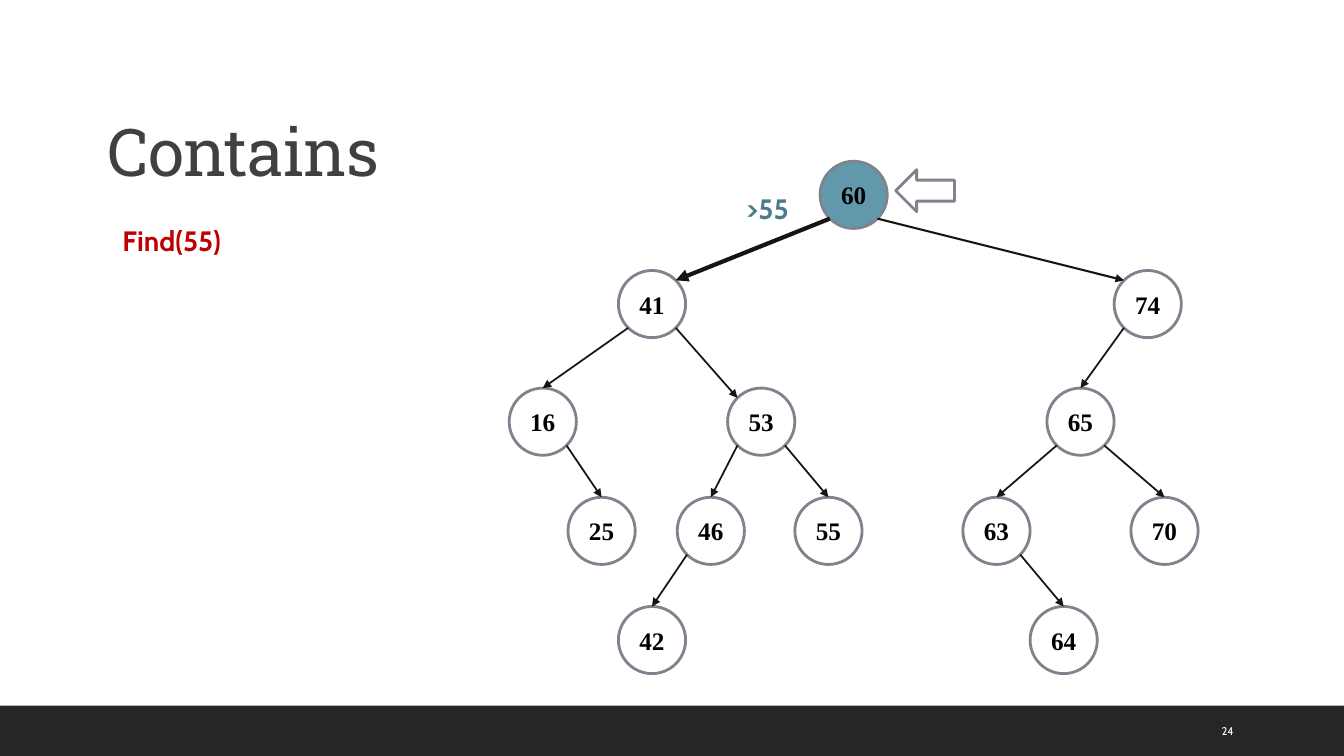
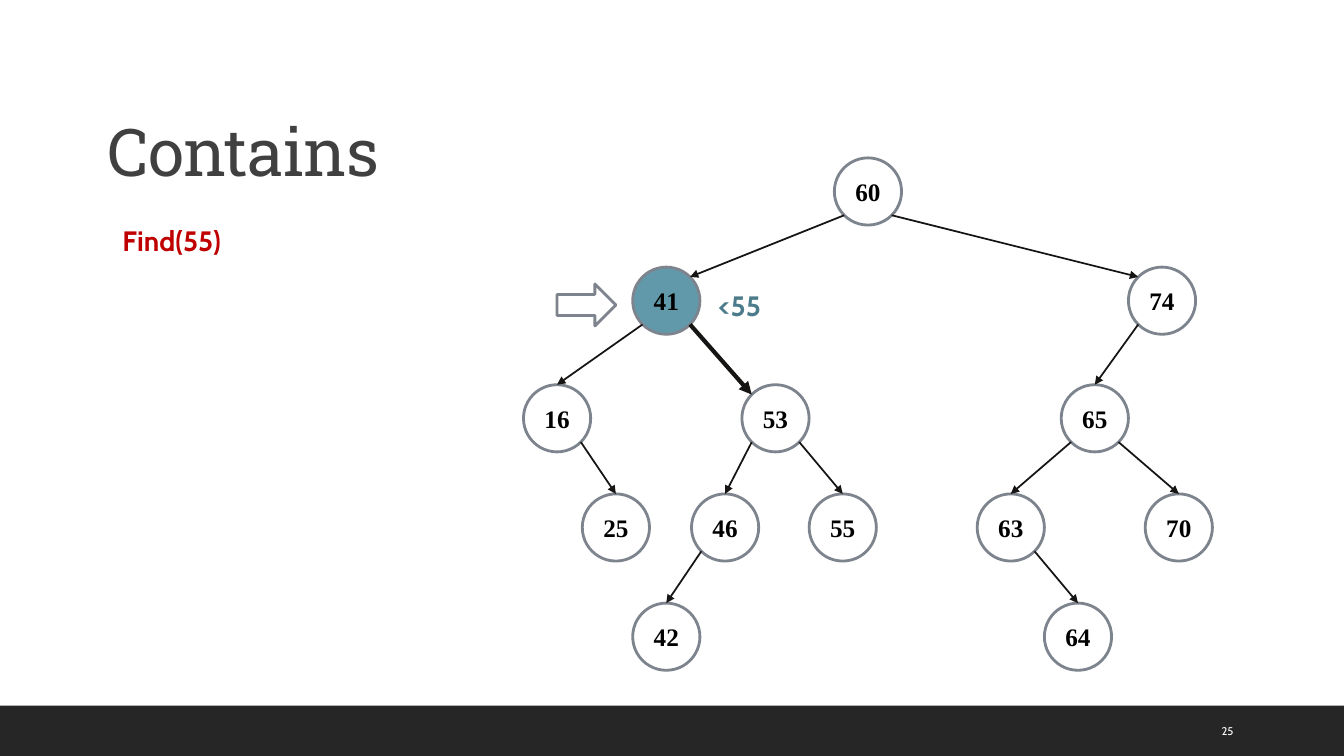
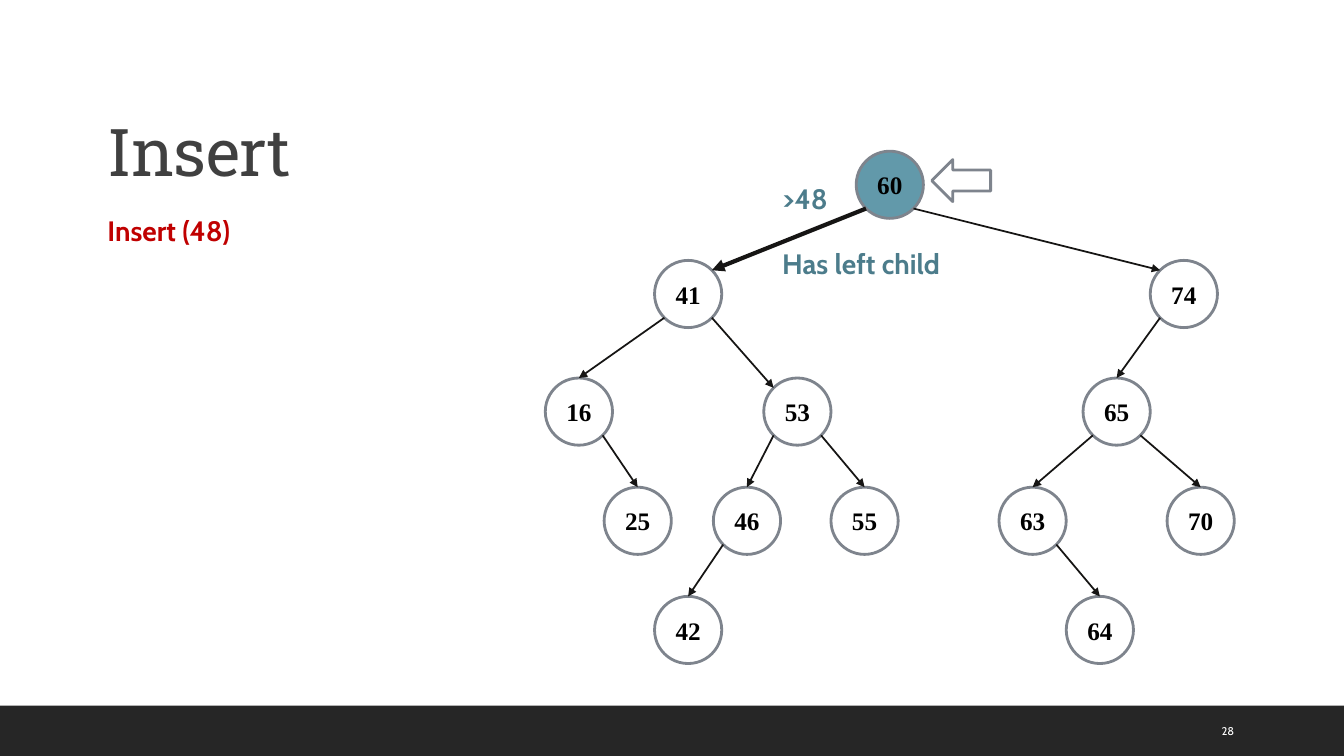
from math import sqrt

from lxml.etree import SubElement as Sub
from pptx import Presentation
from pptx.dml.color import RGBColor as Rgb
from pptx.enum.shapes import MSO_CONNECTOR as Conn, MSO_SHAPE as Geo
from pptx.enum.text import MSO_ANCHOR as Anchor, PP_ALIGN as Align
from pptx.oxml.ns import qn
from pptx.util import Inches, Pt


class Theme:
    white, band, edge, link, hot = "FFFFFF", "262626", "7E848D", "161514", "6299AA"
    rim, thin, wide, bold = 2, 1.25, 1.5, 3
    # Each style: colour, font values, frame values, paragraph values
    title = ("404040", dict(name="Roboto Slab", size=Pt(47)),
             dict(vertical_anchor=Anchor.BOTTOM), dict(line_spacing=0.9))
    task = ("C00000", dict(name="Cabin", size=Pt(20), bold=True), {}, {})
    note = ("4C7C8B", dict(name="Cabin", size=Pt(20), bold=True), {}, {})
    page = ("FFFFFF", dict(name="Cabin", size=Pt(8)),
            dict(vertical_anchor=Anchor.MIDDLE), {})
    node = ("000000", dict(name="Times New Roman", size=Pt(18), bold=True),
            dict(vertical_anchor=Anchor.MIDDLE, word_wrap=False),
            dict(alignment=Align.CENTER))


# The slide is a grid of 160 columns by 90 rows
deck = Presentation()
deck.slide_width, deck.slide_height = Inches(13.33), Inches(7.5)
cell = deck.slide_height / 90


def write(sl, text, style, at, shape=None):
    """Put styled text in a shape, or in a new text box at a grid place."""
    shape = shape or sl.shapes.add_textbox(*(int(n * cell) for n in at))
    tint, font, frame, para = style
    tf = shape.text_frame
    tf.word_wrap = True
    p = tf.paragraphs[0]
    run = p.add_run()
    run.text = text
    run.font.color.rgb = Rgb.from_string(tint)
    for part, vals in ((run.font, font), (tf, frame), (p, para)):
        for key, val in vals.items():
            setattr(part, key, val)
    return run


def draw(sl, geo, at, fill, edge=None):
    """Draw a flat shape at a grid place."""
    shape = sl.shapes.add_shape(geo, *(int(n * cell) for n in at))
    shape.shadow.inherit = False
    shape.fill.solid()
    shape.fill.fore_color.rgb = Rgb.from_string(fill)
    if edge:
        shape.line.color.rgb = Rgb.from_string(edge)
        shape.line.width = Pt(Theme.rim)
    else:
        shape.line.fill.background()
    return shape


# Tree: column and row of each node, counted from the root
size = 8
tree = {60: (0, 0), 41: (-24, 13), 74: (35, 13), 16: (-37, 27), 53: (-11, 27),
        65: (27, 27), 70: (37, 40), 63: (17, 40), 64: (25, 53), 55: (-3, 40),
        46: (-17, 40), 25: (-30, 40), 42: (-24, 53)}
links = [(60, 41), (60, 74), (41, 16), (41, 53), (74, 65), (53, 55), (53, 46),
         (16, 25), (46, 42), (65, 63), (65, 70), (63, 64)]
sided = {41, 74, 53}  # nodes entered at the upper side, not at the top
near = size / 2 * (1 - sqrt(0.5))
far = size - near

# Steps; notes and pointers are placed from the root
steps = [
    dict(title="Contains", task="Find(55)", spot=(13.4, 26), page="24",
         root=(97.6, 19.2), hot=60, notes=[(">55", -10, 3, 10)],
         hand=(9, 1, 0), width={(60, 41): Theme.bold, (60, 74): Theme.wide}),
    dict(title="Contains", task="Find(55)", spot=(13.4, 26), page="25",
         root=(99.3, 18.8), hot=41, notes=[("<55", -15, 15, 10)],
         hand=(-33, 15, 180), width={(41, 53): Theme.bold}),
    dict(title="Insert", task="Insert (48)", spot=(11.6, 24.8), page="28",
         root=(101.9, 18), hot=60,
         notes=[(">48", -10, 3, 10), ("Has left child", -10, 10.8, 29)],
         hand=(9, 1, 0), width={(60, 41): Theme.bold}),
]

for step in steps:
    sl = deck.slides.add_slide(deck.slide_layouts[6])
    col, row = step["root"]

    # Band, title and task
    draw(sl, Geo.RECTANGLE, (0, 84, 160, 6), Theme.band)
    head = write(sl, step["title"], Theme.title, (11.6, 4.2, 132, 19.1))
    head.font._element.set("spc", "-50")
    write(sl, step["task"], Theme.task, (*step["spot"], 20, 5.3))

    # Nodes
    for key, (x, y) in tree.items():
        fill = Theme.hot if key == step["hot"] else Theme.white
        at = (col + x, row + y, size, size)
        disc = draw(sl, Geo.OVAL, at, fill, Theme.edge)
        write(sl, str(key), Theme.node, at, disc)

    # Arrows from parent to child
    for link in links:
        (x1, y1), (x2, y2) = (tree[key] for key in link)
        left = x2 < x1
        x1, y1 = x1 + (near if left else far), y1 + far
        if link[1] in sided:
            x2, y2 = x2 + (far if left else near), y2 + near
        else:
            x2 += size / 2
        ends = (col + x1, row + y1, col + x2, row + y2)
        line = sl.shapes.add_connector(Conn.STRAIGHT, *(int(n * cell) for n in ends))
        line.line.color.rgb = Rgb.from_string(Theme.link)
        line.line.width = Pt(step["width"].get(link, Theme.thin))
        prop = line._element.spPr
        Sub(prop.find(qn("a:ln")), qn("a:tailEnd"), type="triangle")
        Sub(prop, qn("a:effectLst"))

    # Notes, pointer and page number
    for text, x, y, wide in step["notes"]:
        write(sl, text, Theme.note, (col + x, row + y, wide, 5.3))
    x, y, turn = step["hand"]
    hand = draw(sl, Geo.LEFT_ARROW, (col + x, row + y, 7, 5), Theme.white, Theme.edge)
    hand.rotation = turn
    write(sl, step["page"], Theme.page, (144.2, 84.6, 10.2, 4.8))

deck.save("out.pptx")
